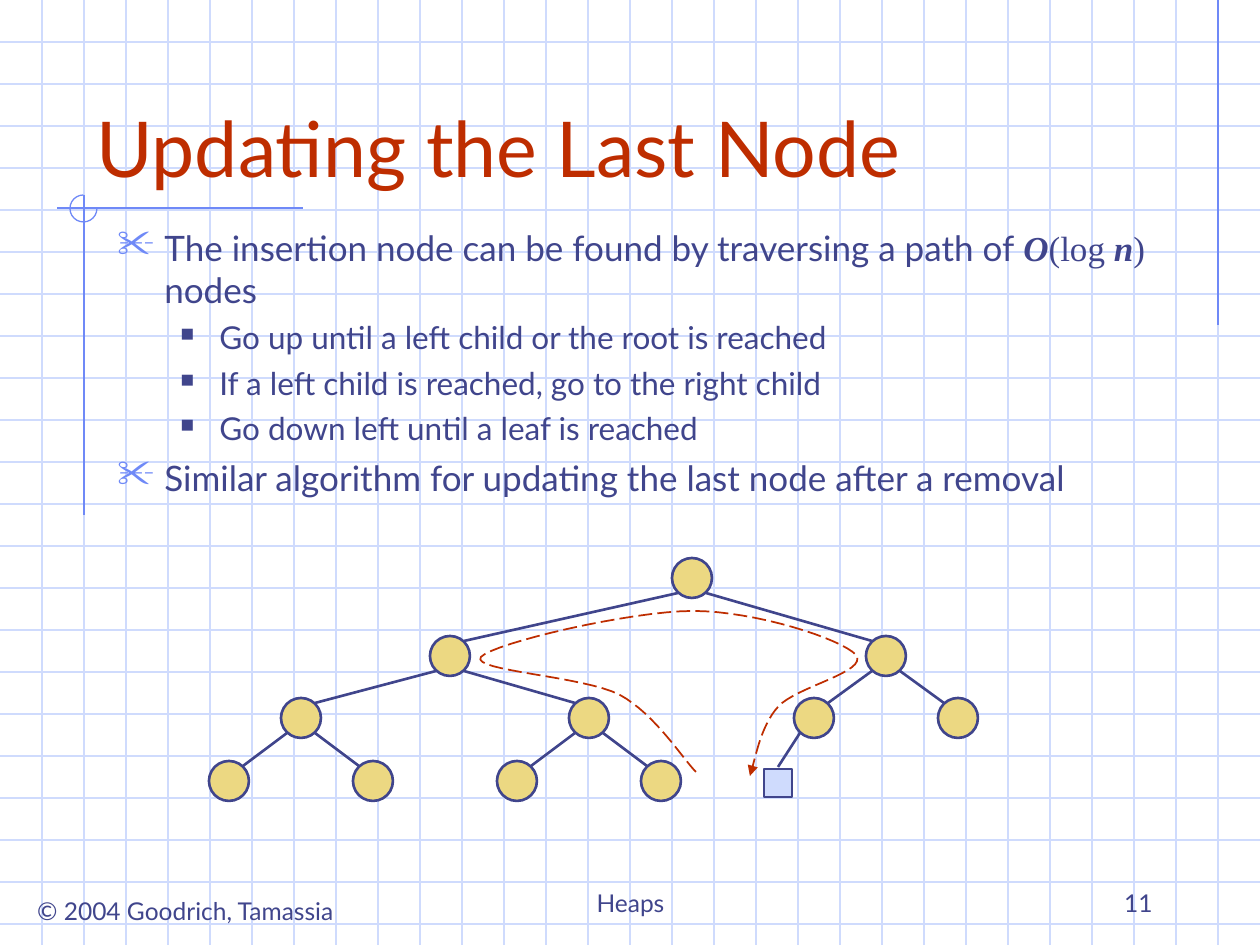
from lxml.etree import SubElement
from pptx import Presentation
from pptx.dml.color import RGBColor
from pptx.enum.dml import MSO_LINE as Dash
from pptx.enum.shapes import MSO_CONNECTOR as Link, MSO_SHAPE as Form
from pptx.enum.text import MSO_ANCHOR as Anchor, PP_ALIGN as Align
from pptx.oxml.ns import qn
from pptx.util import Emu, Pt

PX = 914400 / 126
WIDTH, HEIGHT, GRID_STEP = 1260, 945, 42
PALE, BLUE, NAVY, RED, GOLD = "CFDBFD", "6F89F7", "40458C", "BE2D00", "ECD882"
SANS = {"name": "Lato", "bold": False, "italic": False}
SERIF = {"name": "Times New Roman", "bold": False, "italic": False}
VARIABLE = {"name": "Times New Roman", "bold": True, "italic": True}
LEVELS = [
    {"size": 20, "before": 5, "margin": 47, "indent": -47,
     "bullet": "✂", "bullet_color": BLUE, "bullet_size": 110},
    {"size": 18, "before": 4.5, "margin": 102, "indent": -39,
     "bullet": "■", "bullet_color": NAVY, "bullet_size": 60},
]
BODY = [
    (0, [("The insertion node can be found by traversing a path of ", SANS),
         ("O", VARIABLE), ("(log ", SERIF), ("n", VARIABLE), (") ", SERIF),
         ("nodes", SANS)]),
    (1, [("Go up until a left child or the root is reached", SANS)]),
    (1, [("If a left child is reached, go to the right child", SANS)]),
    (1, [("Go down left until a leaf is reached", SANS)]),
    (0, [("Similar algorithm for updating the last node after a removal", SANS)]),
]
HEAP_ROWS = [
    (22, [484]),
    (100, [242, 678]),
    (162, [93, 381, 606, 750]),
    (225, [21, 165, 309, 453]),
]
PATH_START = (488, 216)
PATH_CURVES = [
    [(475, 203), (447, 158), (412, 139)],
    [(376, 120), (262, 115), (273, 101)],
    [(286, 87), (423, 55), (485, 55)],
    [(547, 55), (634, 83), (648, 99)],
    [(661, 116), (587, 131), (570, 151)],
    [(552, 171), (547, 205), (542, 220)],
]


def px(length):
    """Turn pixels into EMU."""
    return Emu(round(length * PX))


def color(code):
    """Turn a hex string into a colour."""
    return RGBColor.from_string(code)


def style_line(line, code, width):
    """Give a line its colour and width in points."""
    line.color.rgb = color(code)
    line.width = Pt(width)


def add_line(page, start, end, code, width):
    """Draw a straight line between two points."""
    link = page.shapes.add_connector(
        Link.STRAIGHT, *(px(length) for length in (*start, *end)))
    style_line(link.line, code, width)
    SubElement(link._element.spPr, qn("a:effectLst"))


def add_form(page, form, box, fill, code, width):
    """Draw a preset shape, hollow when it has no fill."""
    shape = page.shapes.add_shape(form, *map(px, box))
    shape.shadow.inherit = False
    if fill:
        shape.fill.solid()
        shape.fill.fore_color.rgb = color(fill)
    else:
        shape.fill.background()
    style_line(shape.line, code, width)
    return shape


def add_frame(page, box, anchor=Anchor.TOP, wrap=True):
    """Add an empty text frame."""
    frame = page.shapes.add_textbox(*map(px, box)).text_frame
    for name, value in {"word_wrap": wrap, "vertical_anchor": anchor}.items():
        setattr(frame, name, value)
    return frame


def add_span(para, text, face, size, code):
    """Add one run of formatted text."""
    span = para.add_run()
    span.text = text
    for name, value in {**face, "size": Pt(size)}.items():
        setattr(span.font, name, value)
    span.font.color.rgb = color(code)


def add_label(page, box, text, size, code, align, anchor=Anchor.BOTTOM, wrap=True):
    """Add a text box with one line of text."""
    para = add_frame(page, box, anchor, wrap).paragraphs[0]
    para.alignment = align
    add_span(para, text, SANS, size, code)


def set_bullet(para, level):
    """Give a paragraph its indents and bullet."""
    props = para._p.get_or_add_pPr()
    props.set("marL", str(px(level["margin"])))
    props.set("indent", str(px(level["indent"])))
    tint = SubElement(props, qn("a:buClr"))
    SubElement(tint, qn("a:srgbClr"), val=level["bullet_color"])
    SubElement(props, qn("a:buSzPct"), val=str(level["bullet_size"] * 1000))
    SubElement(props, qn("a:buChar"), char=level["bullet"])


def draw_backdrop(page, box):
    """Draw the grid and the ornamental lines."""
    left, top, width, height = box
    for y in range(top + GRID_STEP, top + height, GRID_STEP):
        add_line(page, (left, y), (left + width, y), PALE, 0.75)
    for x in range(left + GRID_STEP, left + width, GRID_STEP):
        add_line(page, (x, top), (x, top + height), PALE, 0.75)
    for x1, y1, x2, y2 in [(1218, 0, 1218, 325), (303, 208, 57, 208),
                           (84, 195, 84, 515)]:
        add_line(page, (left + x1, top + y1), (left + x2, top + y2), BLUE, 0.75)
    arc = add_form(page, Form.ARC, (left + 70, top + 195, 27, 27), None, BLUE, 0.75)
    arc.adjustments[0], arc.adjustments[1] = 0, 162


def draw_body(page, box):
    """Write the bulleted text."""
    frame = add_frame(page, box)
    for index, (depth, spans) in enumerate(BODY):
        para = frame.add_paragraph() if index else frame.paragraphs[0]
        level = LEVELS[depth]
        para.level = depth
        para.space_before = Pt(level["before"])
        set_bullet(para, level)
        for text, face in spans:
            add_span(para, text, face, level["size"], NAVY)


def draw_footer(page, box):
    """Write the credit, the topic and the page number."""
    left, top, width, height = box
    add_label(page, (left + 15, top + 29, 341, 43), "© 2004 Goodrich, Tamassia",
              14, NAVY, Align.CENTER, Anchor.TOP, False)
    add_label(page, (left + 431, top, 399, height), "Heaps", 14, NAVY, Align.CENTER)
    add_label(page, (left + 903, top, 262, height), "11", 14, NAVY, Align.RIGHT)


def draw_heap(page, box):
    """Draw the heap, whose node i hangs from node (i - 1) // 2."""
    left, top = box[:2]
    radius, reach = 20, 14
    nodes = [(left + x, top + y) for y, row in HEAP_ROWS for x in row]
    for index, (x, y) in enumerate(nodes[1:], 1):
        parent_x, parent_y = nodes[(index - 1) // 2]
        shift = reach if x > parent_x else -reach
        add_line(page, (parent_x + shift, parent_y + reach + 1),
                 (x - shift, y - reach - 1), NAVY, 1.5)
    last_x, last_y = nodes[5]
    add_line(page, (last_x - reach, last_y + reach + 1),
             (left + 570, top + 211), NAVY, 1.5)
    for x, y in nodes:
        add_form(page, Form.OVAL, (x - radius, y - radius, 2 * radius, 2 * radius),
                 GOLD, NAVY, 1.5)
    add_form(page, Form.RECTANGLE, (left + 556, top + 213, 28, 28), PALE, NAVY, 1.5)


def curve_points(start, curves, steps=16):
    """List points along a chain of cubic curves."""
    points = [start]
    for curve in curves:
        anchors = [points[-1], *curve]
        for step in range(1, steps + 1):
            t = step / steps
            weights = [(1 - t) ** 3, 3 * t * (1 - t) ** 2, 3 * t * t * (1 - t), t ** 3]
            points.append(tuple(sum(w * anchor[axis] for w, anchor in
                                    zip(weights, anchors)) for axis in (0, 1)))
    return points


def draw_path(page, box):
    """Draw the dashed arrow from the last node to the insertion node."""
    left, top = box[:2]
    points = [(px(left + x), px(top + y))
              for x, y in curve_points(PATH_START, PATH_CURVES)]
    builder = page.shapes.build_freeform(*points[0], scale=1.0)
    builder.add_line_segments(points[1:], close=False)
    path = builder.convert_to_shape()
    path.shadow.inherit = False
    path.fill.background()
    style_line(path.line, RED, 1)
    path.line.dash_style = Dash.LONG_DASH
    SubElement(path.line._get_or_add_ln(), qn("a:tailEnd"), type="triangle")


def main():
    """Build the deck and save it."""
    deck = Presentation()
    deck.slide_width, deck.slide_height = px(WIDTH), px(HEIGHT)
    page = deck.slides.add_slide(deck.slide_layouts[6])
    heap_box = (208, 556, 772, 248)
    draw_backdrop(page, (0, 0, WIDTH, HEIGHT))
    draw_footer(page, (0, 861, WIDTH, 63))
    add_label(page, (84, 42, 1071, 157), "Updating the Last Node", 44, RED, Align.LEFT)
    draw_body(page, (105, 220, 1081, 315))
    draw_heap(page, heap_box)
    draw_path(page, heap_box)
    deck.save("out.pptx")


if __name__ == "__main__":
    main()
